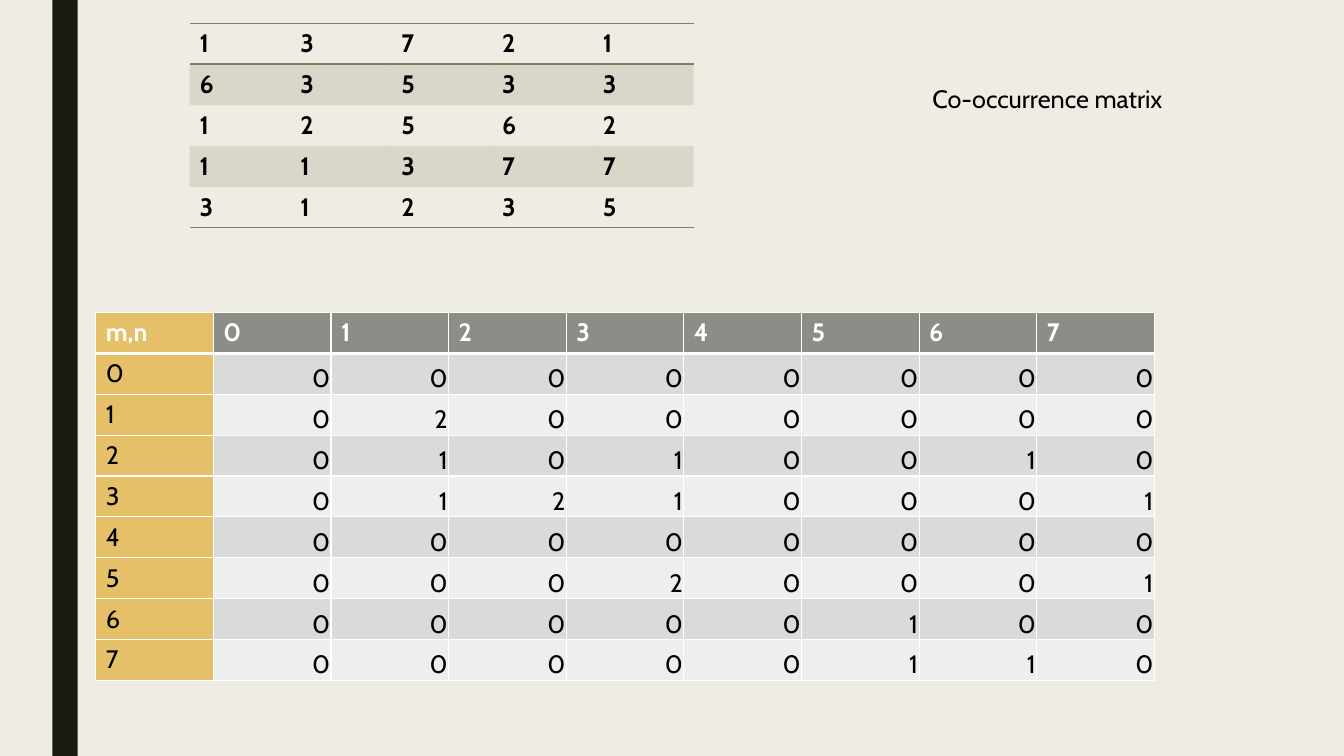
from lxml import etree
from pptx import Presentation
from pptx import util as u
from pptx.dml.color import RGBColor
from pptx.enum import shapes, text
from pptx.oxml import ns

COLORS = {
    "page": "EFEDE3", "bar": "191B0E", "ink": "000000", "white": "FFFFFF",
    "gold": "E6C069", "header": "8C8D86", "dark_band": "DADBD9",
    "light_band": "EEEEED", "brown": "897B61",
}
FONT = "Cabin"
NO_STYLE = "{2D5ABB26-0587-4C30-8999-92F81FD0307C}"
IMAGE_ROWS = ["13721", "63533", "12562", "11377", "31235"]
COUNT_ROWS = ["00000000", "02000000", "01010010", "01210001",
              "00000000", "00020001", "00000100", "00000110"]


def color(name):
    """Return the named colour."""
    return RGBColor.from_string(COLORS[name])


def write(frame, words, ink="ink", bold=False, align=text.PP_ALIGN.LEFT):
    """Put one styled paragraph in a text frame."""
    para = frame.paragraphs[0]
    para.text = words
    para.alignment = align
    para.font.name = FONT
    para.font.size = u.Pt(18)
    para.font.bold = bold
    para.font.color.rgb = color(ink)


def fill_cell(cell, name, alpha=None):
    """Fill a cell, optionally with a percentage of opacity."""
    cell.fill.solid()
    cell.fill.fore_color.rgb = color(name)
    if alpha:
        shade = cell._tc.tcPr.find(".//" + ns.qn("a:srgbClr"))
        etree.SubElement(shade, ns.qn("a:alpha"), val=str(alpha * 1000))


def set_borders(cell, name, widths):
    """Draw borders from a mapping of side (L, R, T, B) to points."""
    properties = cell._tc.get_or_add_tcPr()
    sides = [side for side in "LRTB" if side in widths]
    for index, side in enumerate(sides):
        line = etree.Element(ns.qn("a:ln" + side), w=str(u.Pt(widths[side])))
        solid = etree.SubElement(line, ns.qn("a:solidFill"))
        etree.SubElement(solid, ns.qn("a:srgbClr"), val=COLORS[name])
        properties.insert(index, line)


def add_plain_table(page, box, row_count, column_count):
    """Add an unstyled table with equal rows and columns in the box."""
    left, top, width, height = map(u.Inches, box)
    frame = page.shapes.add_table(row_count, column_count, left, top, width, height)
    table = frame.table
    table.first_row = table.horz_banding = False
    next(frame._element.iter(ns.qn("a:tableStyleId"))).text = NO_STYLE
    return table


def add_image_table(page, box):
    """Draw the grey-level grid with ruled header and shaded bands."""
    table = add_plain_table(page, box, len(IMAGE_ROWS), len(IMAGE_ROWS[0]))
    rules = {0: {"T": 1, "B": 1}, len(IMAGE_ROWS) - 1: {"B": 1}}
    for row, levels in enumerate(IMAGE_ROWS):
        for column, level in enumerate(levels):
            cell = table.cell(row, column)
            write(cell.text_frame, level, bold=True)
            if row % 2:
                fill_cell(cell, "brown", alpha=20)
            set_borders(cell, "brown", rules.get(row, {}))


def add_count_table(page, box):
    """Draw the co-occurrence counts with header row and label column."""
    labels = [str(level) for level in range(len(COUNT_ROWS))]
    rows = [["m,n", *labels]]
    rows += [[label, *counts] for label, counts in zip(labels, COUNT_ROWS)]
    table = add_plain_table(page, box, len(rows), len(rows[0]))
    for row, values in enumerate(rows):
        band = "dark_band" if row % 2 else "light_band"
        widths = {"L": 1, "R": 1, "T": 3 if row == 1 else 1, "B": 3 if row == 0 else 1}
        for column, value in enumerate(values):
            cell = table.cell(row, column)
            if row == 0:
                write(cell.text_frame, value, "white", bold=True)
            elif column == 0:
                write(cell.text_frame, value)
            else:
                write(cell.text_frame, value, align=text.PP_ALIGN.RIGHT)
                cell.vertical_anchor = text.MSO_ANCHOR.BOTTOM
                cell.margin_left = cell.margin_right = cell.margin_top = u.Inches(0.01)
                cell.margin_bottom = 0
            fill_cell(cell, "gold" if column == 0 else "header" if row == 0 else band)
            set_borders(cell, "white", widths)


def add_side_bar(page, box):
    """Draw the dark vertical bar."""
    bar = page.shapes.add_shape(shapes.MSO_SHAPE.RECTANGLE, *map(u.Inches, box))
    bar.shadow.inherit = False
    bar.fill.solid()
    bar.fill.fore_color.rgb = color("bar")
    bar.line.fill.background()


def add_caption(page, box):
    """Write the caption beside the grid."""
    frame = page.shapes.add_textbox(*map(u.Inches, box)).text_frame
    frame.word_wrap = True
    frame.auto_size = text.MSO_AUTO_SIZE.SHAPE_TO_FIT_TEXT
    write(frame, "Co-occurrence matrix")


def main():
    """Build and save the deck."""
    deck = Presentation()
    deck.slide_width, deck.slide_height = u.Inches(13.33), u.Inches(7.5)
    page = deck.slides.add_slide(deck.slide_layouts[6])
    page.background.fill.solid()
    page.background.fill.fore_color.rgb = color("page")
    add_side_bar(page, (0.52, 0, 0.25, 7.5))
    add_count_table(page, (0.95, 3.1, 10.5, 3.65))
    add_image_table(page, (1.88, 0.23, 5, 2.03))
    add_caption(page, (9.15, 0.78, 4.03, 0.4))
    deck.save("out.pptx")


if __name__ == "__main__":
    main()
